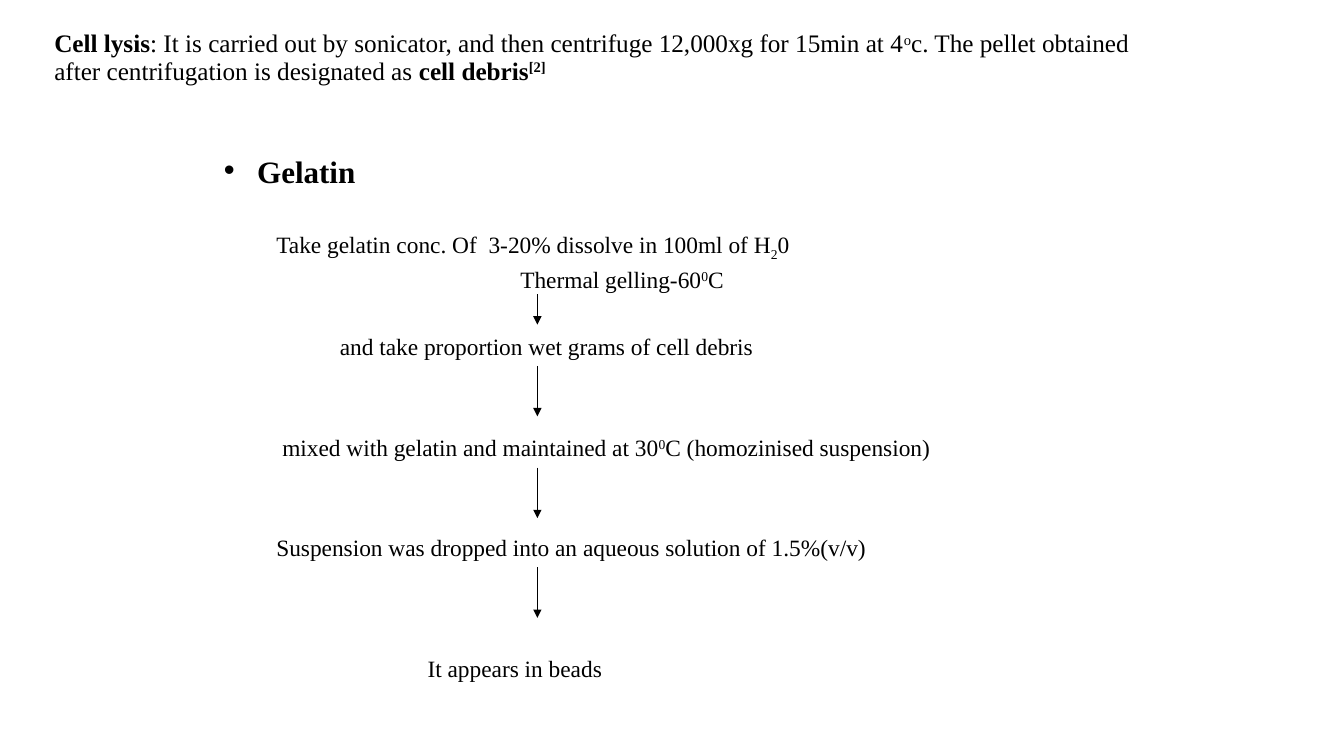
import dataclasses

import pptx
import pptx.dml.color
import pptx.enum.shapes
import pptx.enum.text
import pptx.oxml
import pptx.oxml.ns
import pptx.util

Inches = pptx.util.Inches
Pt = pptx.util.Pt


@dataclasses.dataclass(frozen=True)
class Theme:
    """Colours, font and type sizes of the slide."""
    ink: pptx.dml.color.RGBColor = pptx.dml.color.RGBColor(0, 0, 0)
    paper: pptx.dml.color.RGBColor = pptx.dml.color.RGBColor(255, 255, 255)
    font: str = "Times New Roman"
    intro: float = 18
    heading: float = 22.2
    step: float = 16.7
    line: float = 0.75


THEME = Theme()
BOLD = {"bold": True}
SUPER = {"baseline": 30000}
SUB = {"baseline": -25000}
ROW = 24  # points from one text row to the next
ROW_GAP = 10
ARROW_X = 5.33

INTRO = [
    ("Cell lysis", BOLD),
    (": It is carried out by sonicator, and then centrifuge 12,000xg for 15min at 4", {}),
    ("o", SUPER),
    ("c. The pellet obtained after centrifugation is designated as ", {}),
    ("cell debris", BOLD),
    ("[2]", BOLD | SUPER),
]

# left indent in inches, rows below the line before, runs
STEPS = [
    (0.52, 2, [("Take gelatin conc. Of  3-20% dissolve in 100ml of H", {}), ("2", SUB), ("0", {})]),
    (2.94, 1, [("Thermal gelling-60", {}), ("0", SUPER), ("C", {})]),
    (1.15, 2, [("and take proportion wet grams of cell debris", {})]),
    (0.58, 3, [("mixed with gelatin and maintained at 30", {}), ("0", SUPER),
               ("C (homozinised suspension)", {})]),
    (0.52, 3, [("Suspension was dropped into an aqueous solution of 1.5%(v/v)", {})]),
    (2.02, 3.6, [("It appears in beads", {})]),
]

# top, bottom; the first starts just below the letters of its step
ARROWS = [(2.92, 3.22), (3.63, 4.13), (4.64, 5.14), (5.63, 6.13)]


def add_runs(p, runs, size):
    """Fill a paragraph with (text, format) runs."""
    for text, fmt in runs:
        r = p.add_run()
        r.text = text
        values = {"name": THEME.font, "size": Pt(size), "bold": fmt.get("bold", False)}
        for name, value in values.items():
            setattr(r.font, name, value)
        r.font.color.rgb = THEME.ink
        if "baseline" in fmt:
            r.font._element.set("baseline", str(fmt["baseline"]))


def format_paragraph(p, left, space_before, spacing, bullet=None):
    """Set the indent, spacing and bullet of a paragraph."""
    values = {"alignment": pptx.enum.text.PP_ALIGN.LEFT, "line_spacing": spacing,
              "space_before": Pt(space_before), "space_after": Pt(0)}
    for name, value in values.items():
        setattr(p, name, value)
    pPr = p._p.get_or_add_pPr()
    pPr.set("marL", str(Inches(left)))
    pPr.set("indent", str(-Inches(left) if bullet else 0))
    if bullet:
        font = pptx.oxml.ns.qn("a:buFont")
        pPr.append(pPr.makeelement(font, {"typeface": "Arial"}))
        pPr.append(pPr.makeelement(pptx.oxml.ns.qn("a:buChar"), {"char": bullet}))
    else:
        pPr.append(pPr.makeelement(pptx.oxml.ns.qn("a:buNone"), {}))


def format_frame(tf, margin_top=0.05):
    """Make a text frame wrap, start at the top and keep its type sizes."""
    values = {"word_wrap": True, "auto_size": pptx.enum.text.MSO_AUTO_SIZE.NONE,
              "vertical_anchor": pptx.enum.text.MSO_ANCHOR.TOP,
              "margin_top": Inches(margin_top)}
    for name, value in values.items():
        setattr(tf, name, value)


def add_intro(s):
    """Add the cell lysis text at the top."""
    box = s.shapes.add_textbox(Inches(0.44), Inches(0.26), Inches(11.13), Inches(0.65))
    tf = box.text_frame
    format_frame(tf)
    p = tf.paragraphs[0]
    format_paragraph(p, 0, 0, 0.9)
    add_runs(p, INTRO, THEME.intro)


def fill_body(sp):
    """Place the body and write the heading and the steps of the method."""
    box = {"left": 2.12, "top": 1.15, "width": 9, "height": 5.96}
    for name, value in box.items():
        setattr(sp, name, Inches(value))
    tf = sp.text_frame
    format_frame(tf, margin_top=0.46)
    p = tf.paragraphs[0]
    format_paragraph(p, 0.33, 0, 0.7, bullet="\u2022")
    add_runs(p, [("Gelatin", BOLD)], THEME.heading)
    for left, rows, runs in STEPS:
        p = tf.add_paragraph()
        format_paragraph(p, left, ROW_GAP + ROW * (rows - 1), 0.7)
        add_runs(p, runs, THEME.step)


def add_arrow(s, top, bottom):
    """Add a downward arrow between two steps."""
    x = Inches(ARROW_X)
    line = s.shapes.add_connector(pptx.enum.shapes.MSO_CONNECTOR.STRAIGHT,
                                  x, Inches(top), x, Inches(bottom))
    line.line.color.rgb = THEME.ink
    line.line.width = Pt(THEME.line)
    ln = line.line._get_or_add_ln()
    ln.append(ln.makeelement(pptx.oxml.ns.qn("a:tailEnd"), {"type": "triangle"}))
    spPr = line._element.spPr
    spPr.append(spPr.makeelement(pptx.oxml.ns.qn("a:effectLst"), {}))


def main():
    """Build the slide and save it."""
    prs = pptx.Presentation()
    prs.slide_width, prs.slide_height = Inches(13.33), Inches(7.5)
    s = prs.slides.add_slide(prs.slide_layouts.get_by_name("Title and Content"))
    s.background.fill.solid()
    s.background.fill.fore_color.rgb = THEME.paper
    title = s.shapes.title._element
    title.getparent().remove(title)
    fill_body(s.placeholders[1])
    for top, bottom in ARROWS:
        add_arrow(s, top, bottom)
    add_intro(s)
    prs.save("out.pptx")


main()
